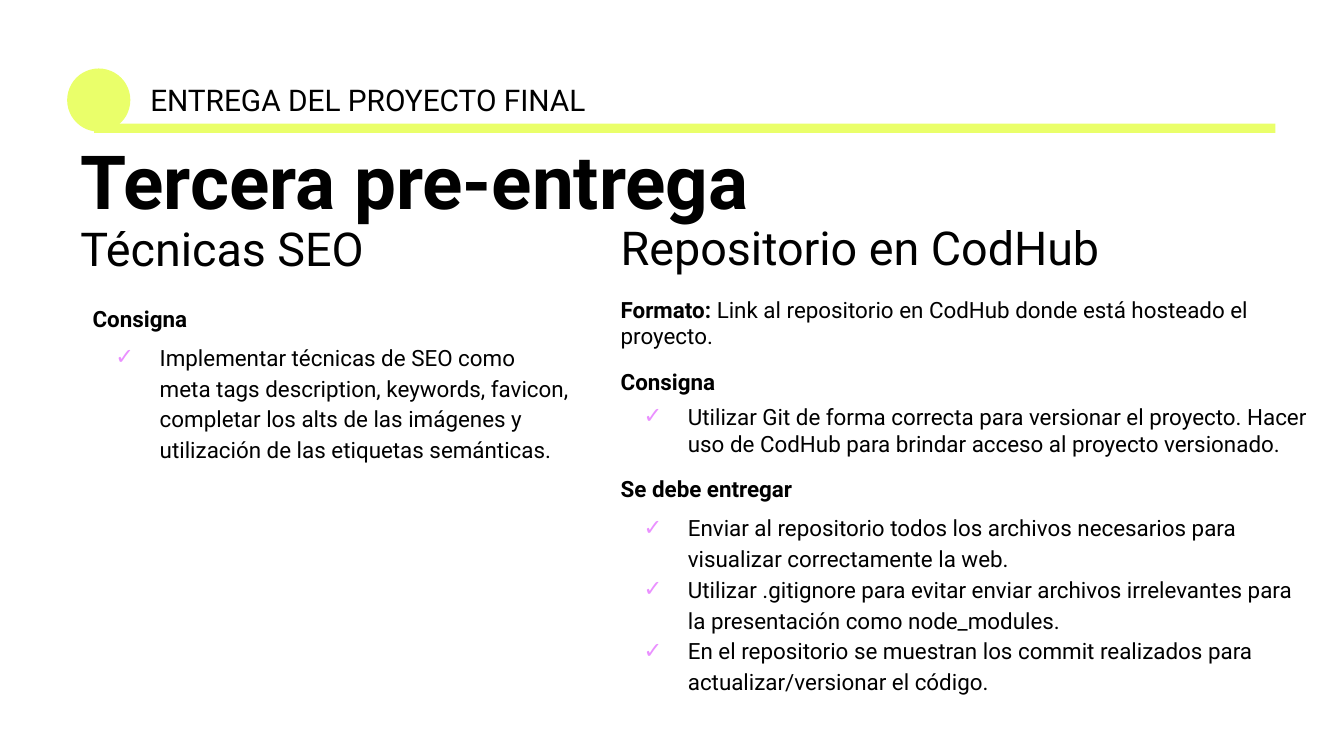
import dataclasses

import lxml.etree
import pptx
import pptx.dml.color
import pptx.enum.shapes
import pptx.enum.text
import pptx.oxml.ns
import pptx.util

Inches = pptx.util.Inches
Pt = pptx.util.Pt


@dataclasses.dataclass(frozen=True)
class Theme:
    font: str = "Roboto"
    ink: str = "000000"
    lime: str = "EAFF6A"
    check: str = "EA90FF"
    title: int = 40
    subtitle: int = 25
    label: int = 16
    body: int = 12
    section_gap: float = 10
    list_gap: float = 4.2
    list_spacing: float = 1.15


THEME = Theme()


def colour(value):
    return pptx.dml.color.RGBColor.from_string(value)


def add_lime_shape(page, kind, left, top, width, height):
    shape = page.shapes.add_shape(
        kind, Inches(left), Inches(top), Inches(width), Inches(height))
    shape.shadow.inherit = False
    shape.fill.solid()
    shape.fill.fore_color.rgb = colour(THEME.lime)
    shape.line.fill.background()


def add_text_frame(page, left, top, width, height):
    box = page.shapes.add_textbox(
        Inches(left), Inches(top), Inches(width), Inches(height))
    frame = box.text_frame
    frame.word_wrap = True
    frame.auto_size = pptx.enum.text.MSO_AUTO_SIZE.SHAPE_TO_FIT_TEXT
    frame.margin_left = frame.margin_right = Inches(0.1)
    frame.margin_top = frame.margin_bottom = Inches(0.1)
    return frame


def add_check(para):
    properties = para._p.get_or_add_pPr()
    properties.set("marL", str(Inches(0.5)))
    properties.set("indent", str(Inches(-0.33)))
    name = pptx.oxml.ns.qn
    bullet_colour = lxml.etree.SubElement(properties, name("a:buClr"))
    lxml.etree.SubElement(bullet_colour, name("a:srgbClr"), val=THEME.check)
    lxml.etree.SubElement(properties, name("a:buFont"), typeface=THEME.font)
    lxml.etree.SubElement(properties, name("a:buChar"), char="✓")


def add_para(frame, text, size, bold=False, before=0, spacing=1.0,
             check=False, lead=None):
    para = frame.paragraphs[0]
    if para.runs:
        para = frame.add_paragraph()
        para.space_before = Pt(before)
    para.line_spacing = spacing
    if check:
        add_check(para)
    if lead:
        span = para.add_run()
        span.text = lead
        span.font.bold = True
    para.add_run().text = text
    para.font.name = THEME.font
    para.font.size = Pt(size)
    para.font.color.rgb = colour(THEME.ink)
    if not lead:
        para.font.bold = bold


def add_section(frame, heading, items, spacing=THEME.list_spacing):
    add_para(frame, heading, THEME.body, bold=True, before=THEME.section_gap)
    for index, item in enumerate(items):
        add_para(frame, item, THEME.body, check=True, spacing=spacing,
                 before=0 if index else THEME.list_gap)


def build_header(page, left, top, width, label):
    shapes = pptx.enum.shapes.MSO_SHAPE
    dot = 0.47
    add_lime_shape(page, shapes.OVAL, left, top, dot, dot)
    add_lime_shape(page, shapes.RECTANGLE, left + 0.2, top + 0.41,
                   width - 0.2, 0.07)
    frame = add_text_frame(page, left + 0.52, top, 3.5, dot)
    add_para(frame, label, THEME.label)


def build_title(page, left, top, width, title, subtitle):
    frame = add_text_frame(page, left, top, width, 1.19)
    add_para(frame, title, THEME.title, bold=True, spacing=0.9)
    add_para(frame, subtitle, THEME.subtitle, spacing=0.9)


def build_seo(page, left, top, width):
    frame = add_text_frame(page, left, top, width, 1.6)
    add_section(frame, "Consigna", [
        "Implementar técnicas de SEO como meta tags description, keywords, "
        "favicon, completar los alts de las imágenes y utilización de las "
        "etiquetas semánticas.",
    ])


def build_repository(page, left, top, width):
    heading = add_text_frame(page, left, top, 4.65, 0.62)
    add_para(heading, "Repositorio en CodHub", THEME.subtitle)

    frame = add_text_frame(page, left, top + 0.57, width, 3.38)
    add_para(frame, "Link al repositorio en CodHub donde está hosteado el "
             "proyecto.", THEME.body, lead="Formato: ")
    add_section(frame, "Consigna", [
        "Utilizar Git de forma correcta para versionar el proyecto. Hacer "
        "uso de CodHub para brindar acceso al proyecto versionado.",
    ], spacing=1.0)
    add_section(frame, "Se debe entregar", [
        "Enviar al repositorio todos los archivos necesarios para "
        "visualizar correctamente la web.",
        "Utilizar .gitignore para evitar enviar archivos irrelevantes para "
        "la presentación como node_modules.",
        "En el repositorio se muestran los commit realizados para "
        "actualizar/versionar el código.",
    ])


def main():
    deck = pptx.Presentation()
    deck.slide_width = Inches(10)
    deck.slide_height = deck.slide_width * 9 // 16
    page = deck.slides.add_slide(deck.slide_layouts[6])
    build_header(page, 0.5, 0.51, 8.99, "ENTREGA DEL PROYECTO FINAL")
    build_title(page, 0.5, 0.98, 7.99, "Tercera pre-entrega", "Técnicas SEO")
    build_seo(page, 0.59, 2.17, 3.75)
    build_repository(page, 4.52, 1.53, 5.33)
    deck.save("out.pptx")


if __name__ == "__main__":
    main()
